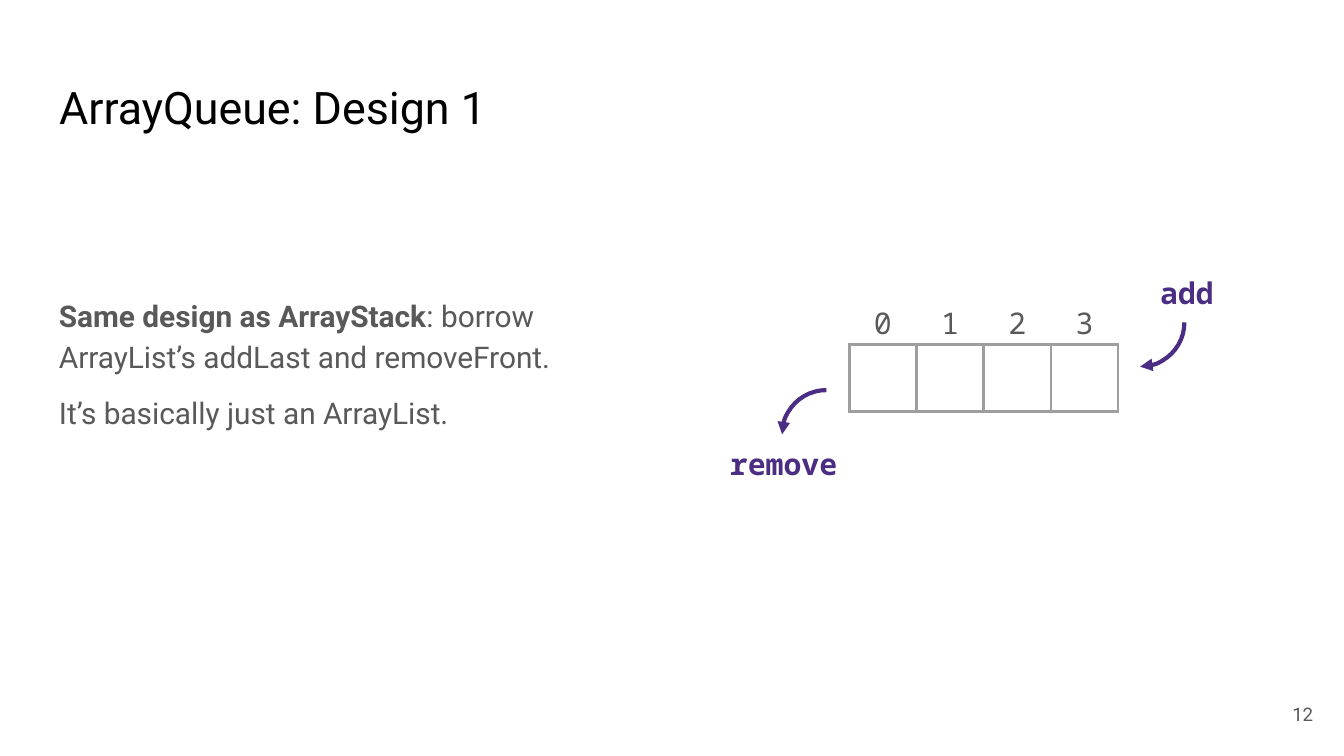
import pptx
import pptx.util
import pptx.dml.color
import pptx.enum.shapes
import pptx.enum.text
from lxml import etree
from pptx.oxml.ns import qn

Pt = pptx.util.Pt
ALIGN = pptx.enum.text.PP_ALIGN
ANCHOR = pptx.enum.text.MSO_ANCHOR

SANS, MONO = "Roboto", "Noto Sans Mono"
BLACK, GRAY, PURPLE, WHITE, BORDER = "000000", "595959", "4B2E83", "FFFFFF", "9E9E9E"

TITLE = "ArrayQueue: Design 1"
PAGE_NUMBER = "12"
# Paragraphs of (text, bold) runs
BODY = [
    [("Same design as ArrayStack", True),
     (": borrow ArrayList’s addLast and removeFront.", False)],
    [("It’s basically just an ArrayList.", False)],
]
INDICES = ["0", "1", "2", "3"]
CELL = 36
ARRAY_LEFT, INDEX_TOP, ARRAY_TOP = 455, 155, 184.5

# Text, (left, top, width, height)
OPERATIONS = [
    ("add", (607, 141, 57.6, 31.7)),
    ("remove", (383.8, 232.6, 72, 31.7)),
]
# Left, top, rotation, mirrored
ARROWS = [(587, 149, 90, False), (419, 209, 0, True)]
ARROW_SIZE = 47.5


def rgb(value):
    return pptx.dml.color.RGBColor.from_string(value)


def add_span(para, text, size, font, color, bold=False):
    span = para.add_run()
    span.text = text
    span.font.size = Pt(size)
    span.font.name = font
    span.font.color.rgb = rgb(color)
    span.font.bold = bold


def set_frame(frame, anchor):
    frame.word_wrap = True
    frame.auto_size = pptx.enum.text.MSO_AUTO_SIZE.NONE
    frame.vertical_anchor = anchor
    frame.margin_left = frame.margin_right = Pt(7.2)
    frame.margin_top = frame.margin_bottom = Pt(7.2)


def add_box(page, place, anchor):
    box = page.shapes.add_textbox(*map(Pt, place))
    set_frame(box.text_frame, anchor)
    return box.text_frame


def add_label(page, text, place, align, size, font, color, bold=False):
    para = add_box(page, place, ANCHOR.MIDDLE).paragraphs[0]
    para.alignment = align
    add_span(para, text, size, font, color, bold)


def add_row(page, top):
    """Add a plain one-row table of square cells and return its cells."""
    count = len(INDICES)
    table = page.shapes.add_table(
        1, count, Pt(ARRAY_LEFT), Pt(top), Pt(CELL * count), Pt(CELL)).table
    table.first_row = table.horz_banding = False
    for column in table.columns:
        column.width = Pt(CELL)
    return [table.cell(0, index) for index in range(count)]


def set_borders(cell, color=None):
    """Draw all four borders, or hide them when no color is given."""
    properties = cell._tc.get_or_add_tcPr()
    for index, side in enumerate(("lnL", "lnR", "lnT", "lnB")):
        line = etree.Element(qn("a:" + side), w=str(Pt(1.5)))
        if color:
            fill = etree.SubElement(line, qn("a:solidFill"))
            etree.SubElement(fill, qn("a:srgbClr"), val=color)
        else:
            etree.SubElement(line, qn("a:noFill"))
        properties.insert(index, line)


def add_arrow(page, left, top, rotation, mirrored):
    arc = page.shapes.add_shape(
        pptx.enum.shapes.MSO_SHAPE.ARC,
        Pt(left), Pt(top), Pt(ARROW_SIZE), Pt(ARROW_SIZE))
    arc.shadow.inherit = False
    arc.fill.background()
    arc.line.color.rgb = rgb(PURPLE)
    arc.line.width = Pt(2.25)
    arc.rotation = rotation
    if mirrored:
        arc._element.spPr.find(qn("a:xfrm")).set("flipH", "1")
    etree.SubElement(arc.line._get_or_add_ln(), qn("a:tailEnd"), type="triangle")


def main():
    deck = pptx.Presentation()
    deck.slide_width, deck.slide_height = Pt(720), Pt(405)
    page = deck.slides.add_slide(deck.slide_layouts[5])

    title = page.shapes.title
    title.left, title.top, title.width, title.height = map(Pt, (24.5, 35.3, 311, 45.4))
    set_frame(title.text_frame, ANCHOR.TOP)
    para = title.text_frame.paragraphs[0]
    para.alignment = ALIGN.LEFT
    add_span(para, TITLE, 24, SANS, BLACK)

    add_label(page, PAGE_NUMBER, (667.4, 367.2, 43.2, 31), ALIGN.RIGHT, 10, SANS, GRAY)

    for cell, index in zip(add_row(page, INDEX_TOP), INDICES):
        cell.fill.background()
        cell.vertical_anchor = ANCHOR.MIDDLE
        cell.margin_top = cell.margin_bottom = Pt(3.6)
        para = cell.text_frame.paragraphs[0]
        para.alignment = ALIGN.CENTER
        add_span(para, index, 16, MONO, GRAY)
        set_borders(cell)

    for cell in add_row(page, ARRAY_TOP):
        cell.fill.solid()
        cell.fill.fore_color.rgb = rgb(WHITE)
        set_borders(cell, BORDER)

    for text, place in OPERATIONS:
        add_label(page, text, place, ALIGN.CENTER, 16, MONO, PURPLE, True)
    for arrow in ARROWS:
        add_arrow(page, *arrow)

    frame = add_box(page, (24.5, 149.5, 311, 210), ANCHOR.TOP)
    for number, spans in enumerate(BODY):
        para = frame.add_paragraph() if number else frame.paragraphs[0]
        para.line_spacing = 1.15
        para.space_before = Pt(8 if number else 0)
        for text, bold in spans:
            add_span(para, text, 16, SANS, GRAY, bold)

    deck.save("out.pptx")


if __name__ == "__main__":
    main()
